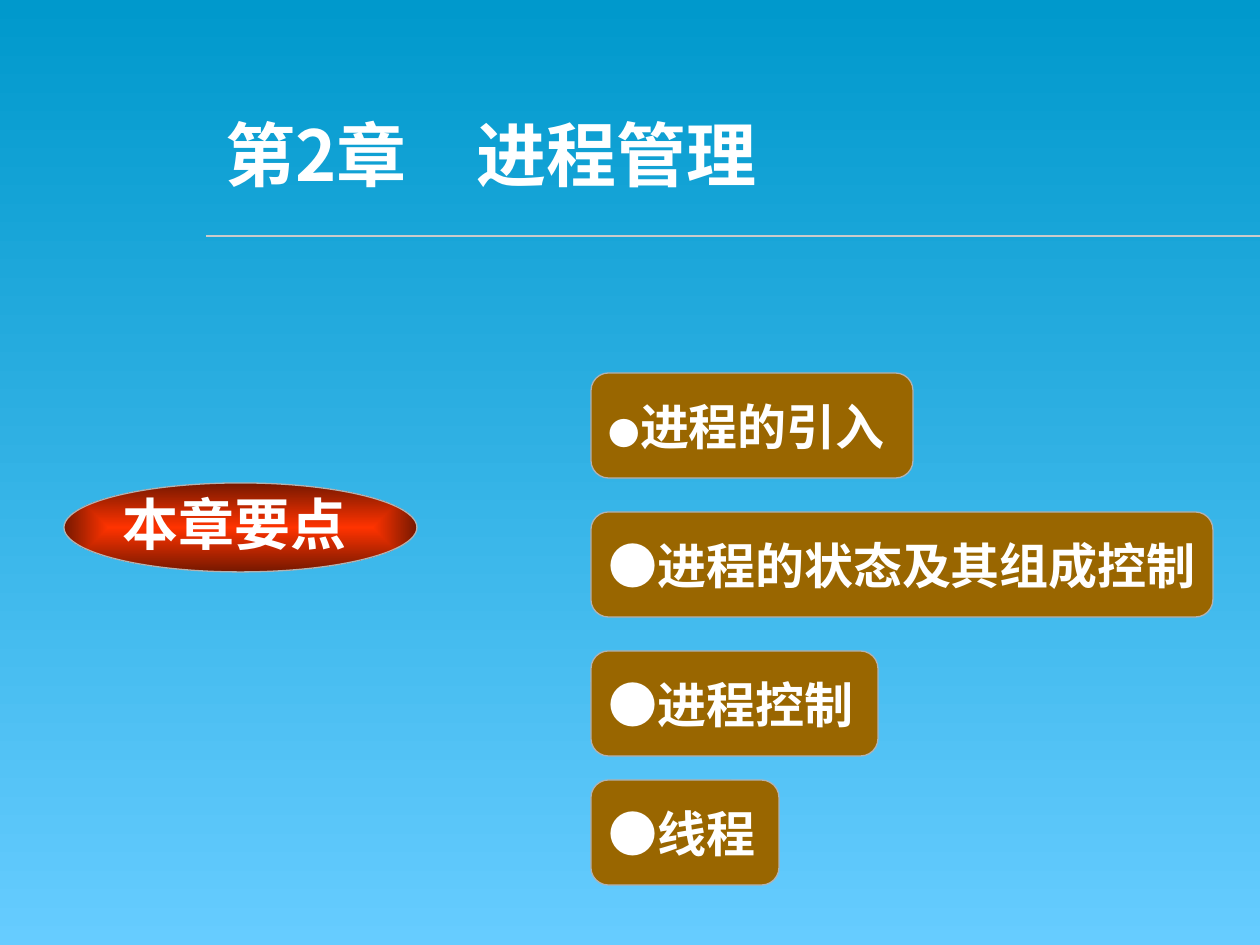
from lxml.etree import SubElement
from pptx import Presentation
from pptx.dml.color import RGBColor
from pptx.enum.shapes import MSO_CONNECTOR, MSO_SHAPE
from pptx.enum.text import MSO_ANCHOR, PP_ALIGN
from pptx.oxml.ns import qn
from pptx.util import Pt

PX = 914400 // 126
COLORS = {
    "sky_top": "0099CC", "sky_bottom": "66CCFF", "rule": "CBCBCB",
    "topic": "996600", "border": "B2B2B2", "text": "FFFFFF",
    "red": "FF3300", "dark_red": "761800",
}
CJK_FONT = "Noto Sans CJK SC"


def rgb(name):
    return RGBColor.from_string(COLORS[name])


def write(tf, text, size, font, bold=True, wrap=True, anchor=MSO_ANCHOR.TOP):
    """Append a run to the first paragraph of a text frame."""
    tf.word_wrap = wrap
    tf.vertical_anchor = anchor
    p = tf.paragraphs[0]
    p.alignment = PP_ALIGN.LEFT
    r = p.add_run()
    r.text = text
    r.font.size = Pt(size)
    r.font.name = font
    r.font.bold = bold
    r.font.color.rgb = rgb("text")
    SubElement(r.font._element, qn("a:ea"), typeface=CJK_FONT)


prs = Presentation()
prs.slide_width, prs.slide_height = 1260 * PX, 945 * PX
s = prs.slides.add_slide(prs.slide_layouts[6])

# Background
fill = s.background.fill
fill.gradient()
fill.gradient_angle = 270
for stop, name in zip(fill.gradient_stops, ("sky_top", "sky_bottom")):
    stop.color.rgb = rgb(name)

# Title and rule
rule = s.shapes.add_connector(MSO_CONNECTOR.STRAIGHT, 206 * PX, 236 * PX, 1260 * PX, 236 * PX)
rule.line.color.rgb = rgb("rule")
rule.line.width = Pt(1)
SubElement(rule._element.spPr, qn("a:effectLst"))

title = s.shapes.add_textbox(213 * PX, 86 * PX, 798 * PX, 113 * PX)
write(title.text_frame, "第2章　进程管理", 40, CJK_FONT, anchor=MSO_ANCHOR.BOTTOM)
title.text_frame.paragraphs[0].line_spacing = 0.7

# Topics: top, width, bullet size, bullet font, bullet bold, text
topics = [
    (373, 322, 18, "Times New Roman", False, "进程的引入"),
    (512, 622, 28, "Arial", True, "进程的状态及其组成控制"),
    (651, 287, 28, "Arial", True, "进程控制"),
    (780, 188, 28, "Arial", True, "线程"),
]
for top, width, size, font, bold, text in topics:
    sp = s.shapes.add_shape(MSO_SHAPE.ROUNDED_RECTANGLE, 591 * PX, top * PX, width * PX, 105 * PX)
    sp.shadow.inherit = False
    sp.fill.solid()
    sp.fill.fore_color.rgb = rgb("topic")
    sp.line.color.rgb = rgb("border")
    sp.line.width = Pt(0.75)
    tf = sp.text_frame
    write(tf, "●", size, font, bold=bold, wrap=False, anchor=MSO_ANCHOR.MIDDLE)
    write(tf, text, 28, "Arial", wrap=False, anchor=MSO_ANCHOR.MIDDLE)

# Key points label
oval = s.shapes.add_shape(MSO_SHAPE.OVAL, 64 * PX, 483 * PX, 353 * PX, 89 * PX)
oval.shadow.inherit = False
oval.line.color.rgb = rgb("border")
oval.line.width = Pt(0.75)
oval.fill.gradient()
for stop, name in zip(oval.fill.gradient_stops, ("red", "dark_red")):
    stop.color.rgb = rgb(name)
grad = oval._element.spPr.find(qn("a:gradFill"))
grad.remove(grad.find(qn("a:lin")))
center = SubElement(grad, qn("a:path"), path="rect")
SubElement(center, qn("a:fillToRect"), l="50000", t="50000", r="50000", b="50000")

label = s.shapes.add_textbox(110 * PX, 483 * PX, 280 * PX, 81 * PX)
write(label.text_frame, "本章要点", 32, "Times New Roman")

prs.save("out.pptx")
